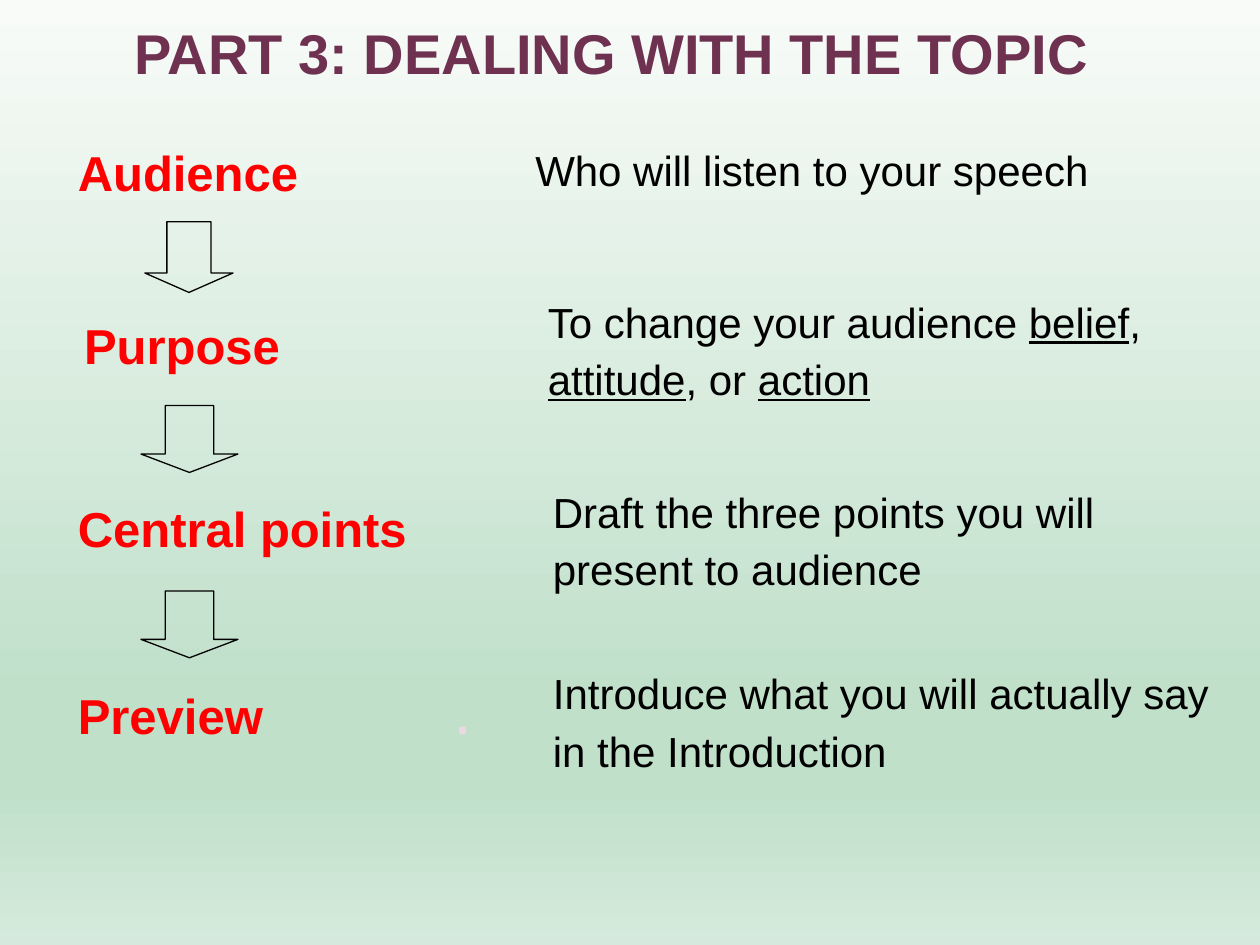
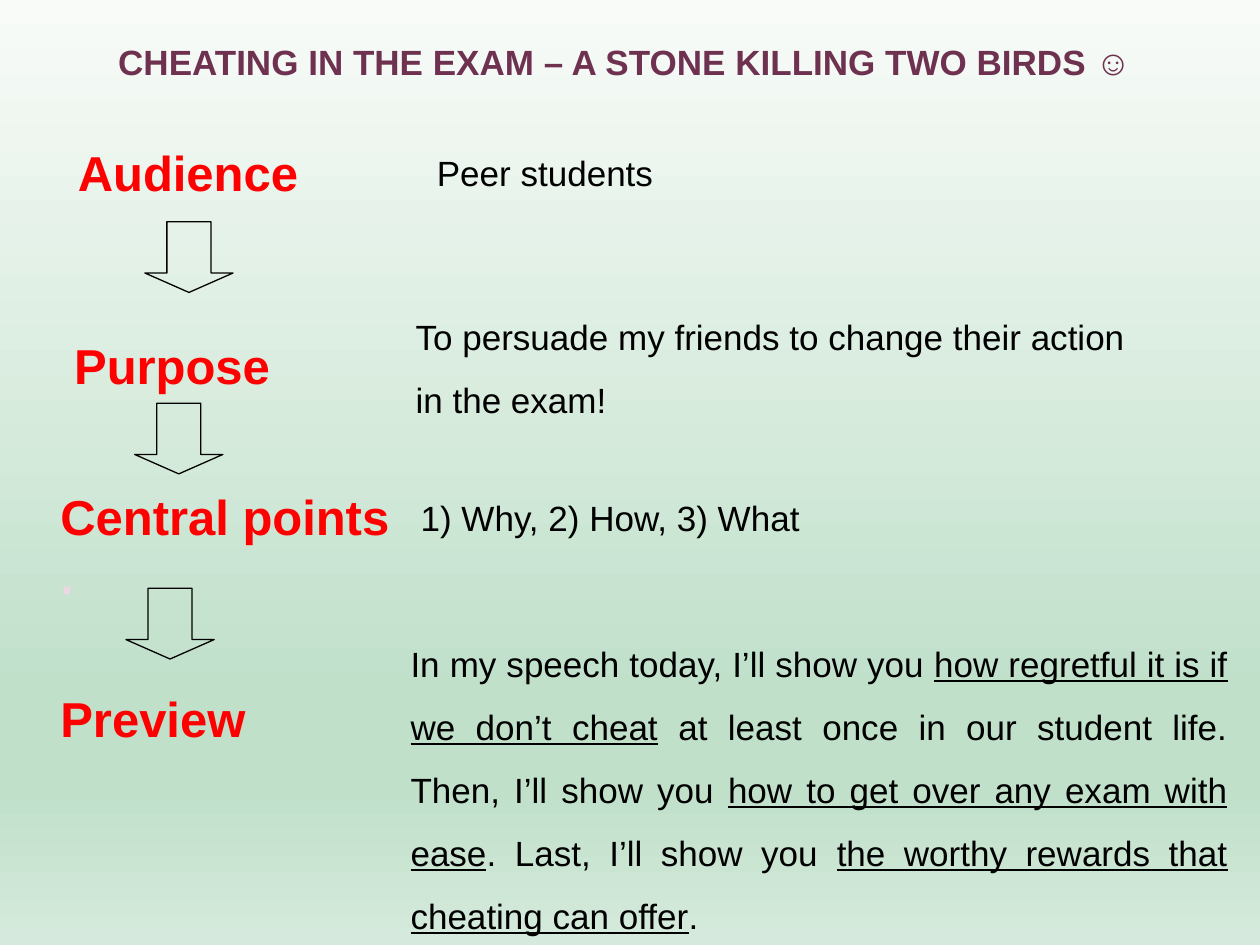
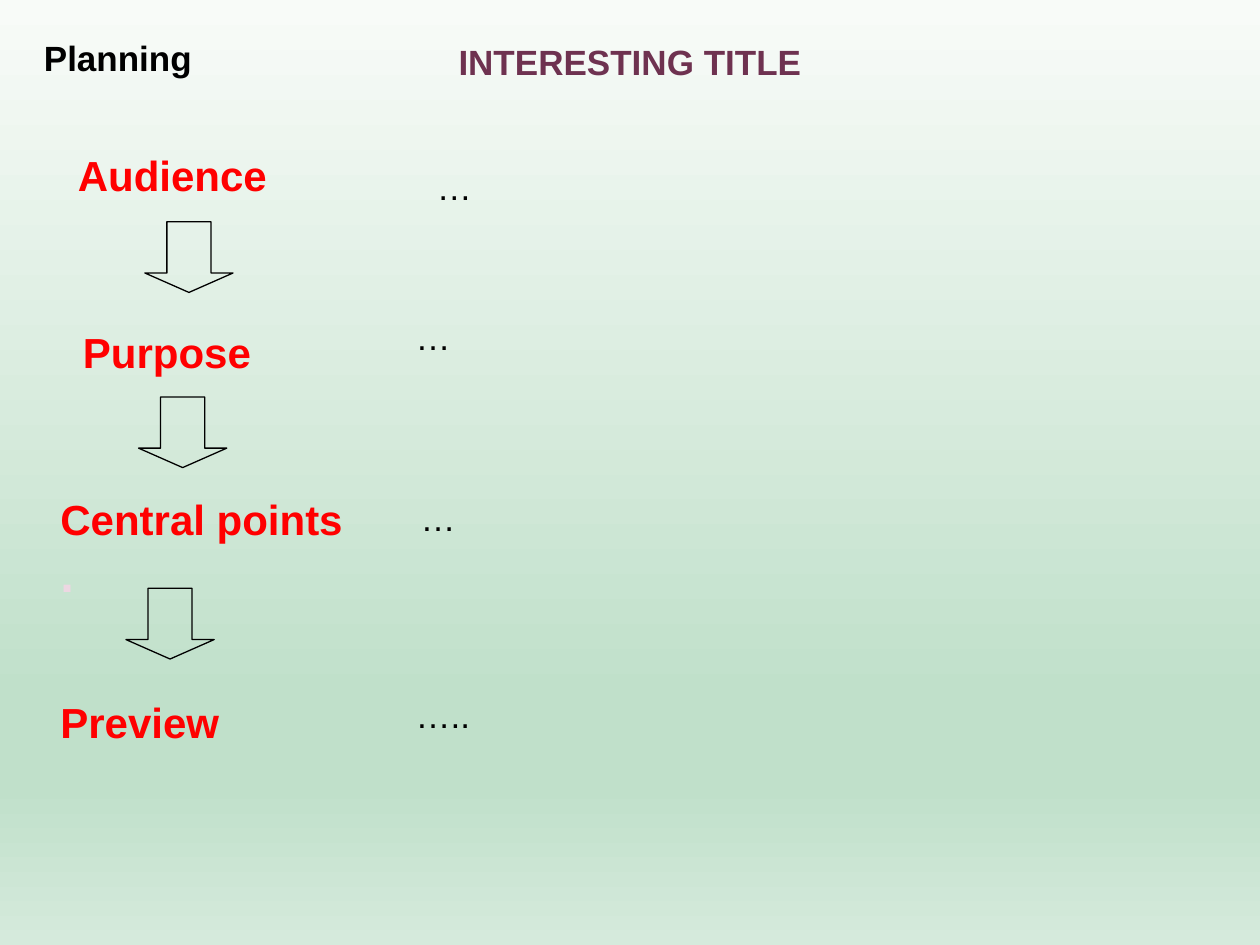
from dataclasses import dataclass

from lxml import etree
from pptx import Presentation
from pptx.dml.color import RGBColor
from pptx.enum.shapes import MSO_SHAPE
from pptx.enum.text import MSO_ANCHOR, MSO_AUTO_SIZE, PP_ALIGN
from pptx.oxml.ns import qn
from pptx.util import Pt

DOWN_ARROW = MSO_SHAPE.DOWN_ARROW
MIDDLE, TOP = MSO_ANCHOR.MIDDLE, MSO_ANCHOR.TOP
FIT_SHAPE = MSO_AUTO_SIZE.SHAPE_TO_FIT_TEXT
LEFT, CENTER, JUSTIFY = PP_ALIGN.LEFT, PP_ALIGN.CENTER, PP_ALIGN.JUSTIFY


@dataclass(frozen=True)
class Theme:
    """Colours and type sizes shared by the slides."""
    font: str = "Arial"
    title: str = "6E3250"
    label: str = "FF0000"
    ink: str = "000000"
    faint: str = "EDD7E2"
    gradient: tuple = ((0, "F8FBF8"), (74, "C0E0CA"), (83, "C0E0CA"), (100, "D5EADC"))
    headline: int = 32
    step: int = 28
    body: int = 24
    small: int = 20


THEME = Theme()


def paint_background(slide):
    """Fill the slide with the vertical green gradient."""
    fill = slide.background.fill
    fill.gradient()
    fill.gradient_angle = 270
    stops = slide.background._cSld.find(".//" + qn("a:gsLst"))
    for stop in list(stops):
        stops.remove(stop)
    for percent, colour in THEME.gradient:
        stop = etree.SubElement(stops, qn("a:gs"), pos=str(percent * 1000))
        etree.SubElement(stop, qn("a:srgbClr"), val=colour)


def add_run(paragraph, text, size, colour, bold=False, underline=False):
    """Append one styled run."""
    run = paragraph.add_run()
    run.text = text
    font = run.font
    font.name, font.size = THEME.font, Pt(size)
    font.bold, font.underline = bold, underline
    font.color.rgb = RGBColor.from_string(colour)


def add_frame(slide, box, align=LEFT, anchor=TOP):
    """Add a wrapping text box and return its text frame."""
    frame = slide.shapes.add_textbox(*map(Pt, box)).text_frame
    frame.word_wrap = True
    frame.vertical_anchor = anchor
    if anchor == TOP:
        frame.auto_size = FIT_SHAPE
    frame.paragraphs[0].alignment = align
    return frame


def add_title(slide, text, box, size):
    """Add the centred slide title."""
    paragraph = add_frame(slide, box, CENTER, MIDDLE).paragraphs[0]
    add_run(paragraph, text, size, THEME.title, bold=True)


def add_label(slide, text, left, top, size, dot=None):
    """Add a red step name, with a faint dot beside or below it."""
    frame = add_frame(slide, (left, top + THEME.step - size, 300, 41))
    paragraph = frame.paragraphs[0]
    add_run(paragraph, text, size, THEME.label, bold=True)
    if dot == "beside":
        tabs = etree.SubElement(paragraph._p.get_or_add_pPr(), qn("a:tabLst"))
        etree.SubElement(tabs, qn("a:tab"), pos=str(Pt(216)), algn="l")
        add_run(paragraph, "\t.", THEME.step, THEME.faint, bold=True)
    elif dot == "below":
        add_run(frame.add_paragraph(), ".", THEME.step, THEME.faint, bold=True)


def add_answer(slide, text, box, size, spacing=1.0, align=LEFT):
    """Add the explanation of a step; underscores enclose underlined words."""
    paragraph = add_frame(slide, box, align).paragraphs[0]
    paragraph.line_spacing = spacing
    for index, part in enumerate(text.split("_")):
        if part:
            add_run(paragraph, part, size, THEME.ink, underline=index % 2 == 1)


def add_arrow(slide, left, top, width=50.4, height=40.4):
    """Add an outlined arrow leading to the next step."""
    arrow = slide.shapes.add_shape(DOWN_ARROW, *map(Pt, (left, top, width, height)))
    arrow.shadow.inherit = False
    arrow.adjustments[0], arrow.adjustments[1] = 0.5, 0.275
    arrow.fill.background()
    arrow.line.color.rgb = RGBColor.from_string(THEME.ink)
    arrow.line.width = Pt(0.75)


def new_slide(deck):
    """Add a blank slide with the shared background."""
    slide = deck.slides.add_slide(deck.slide_layouts[6])
    paint_background(slide)
    return slide


def build_topic(deck):
    """Build the slide that explains the four steps."""
    slide = new_slide(deck)
    add_title(slide, "PART 3: DEALING WITH THE TOPIC", (31.7, 11.5, 635.8, 36),
              THEME.headline)
    for step, left, top, dot in (("Audience", 37.4, 77.8, None),
                                 ("Purpose", 41, 177, None),
                                 ("Central points", 37.4, 281.5, None),
                                 ("Preview", 37.4, 388, "beside")):
        add_label(slide, step, left, top, THEME.step, dot)
    for text, left, top in (
            ("Who will listen to your speech", 298.8, 74.9),
            ("To change your audience _belief_, _attitude_, or _action_", 306, 161.6),
            ("Draft the three points you will present to audience", 308.9, 270.3),
            ("Introduce what you will actually say in the Introduction", 308.9, 374)):
        add_answer(slide, text, (left, top, 390, 70.6), THEME.body, 1.14)
    add_arrow(slide, 82.8, 126.7)
    for top in (231.8, 337.7):
        add_arrow(slide, 80.6, top, 55.4, 38.2)


def build_plan(deck, title, size, purpose, answers, preview_box):
    """Build a worked plan from its title, label size and four answers."""
    slide = new_slide(deck)
    add_title(slide, title, (54, 17.3, 612, 36), THEME.small)
    purpose_left, purpose_top, arrow_left, arrow_top = purpose
    for step, left, top, dot in (("Audience", 37.4, 77.8, None),
                                 ("Purpose", purpose_left, purpose_top, None),
                                 ("Central points", 27.4, 274.3, "below"),
                                 ("Preview", 27.4, 390.2, None)):
        add_label(slide, step, left, top, size, dot)
    audience_top = 82.8 + 2 * (THEME.step - size)
    layout = (((242.6, audience_top, 444.2, 65.5), 1.0, LEFT),
              ((230.4, 164.9, 435.6, 111.6), 1.5, LEFT),
              ((233.3, 280, 450.7, 41), 1.0, LEFT),
              (preview_box, 1.5, JUSTIFY))
    for text, (box, spacing, align) in zip(answers, layout):
        add_answer(slide, text, box, THEME.small, spacing, align)
    for left, top in ((82.8, 126.7), (arrow_left, arrow_top), (72, 336.2)):
        add_arrow(slide, left, top)
    return slide


def main():
    """Build and save the deck."""
    deck = Presentation()
    deck.slide_width, deck.slide_height = Pt(720), Pt(540)
    build_topic(deck)
    build_plan(deck, "CHEATING IN THE EXAM – A STONE KILLING TWO BIRDS ☺ ", THEME.step,
               (35.3, 187.9, 77, 230.4),
               ("Peer students",
                "To persuade my friends to change their action in the exam!",
                "1) Why, 2) How, 3) What",
                "In my speech today, I’ll show you _how regretful it is if we don’t cheat_"
                " at least once in our student life. Then, I’ll show you "
                "_how to get over any exam with ease_. Last, I’ll show you "
                "_the worthy rewards that cheating can offer_."),
               (227.5, 351.4, 481, 177))
    planning = build_plan(deck, "INTERESTING TITLE", THEME.body,
                          (40.3, 179.3, 79.2, 226.8), ("…", "…", "…", "….."),
                          (230.4, 380.9, 481, 38.9))
    heading = add_frame(planning, (18, 17.3, 104.4, 31.7)).paragraphs[0]
    add_run(heading, "Planning", THEME.small, THEME.ink, bold=True)
    deck.save("out.pptx")


if __name__ == "__main__":
    main()
